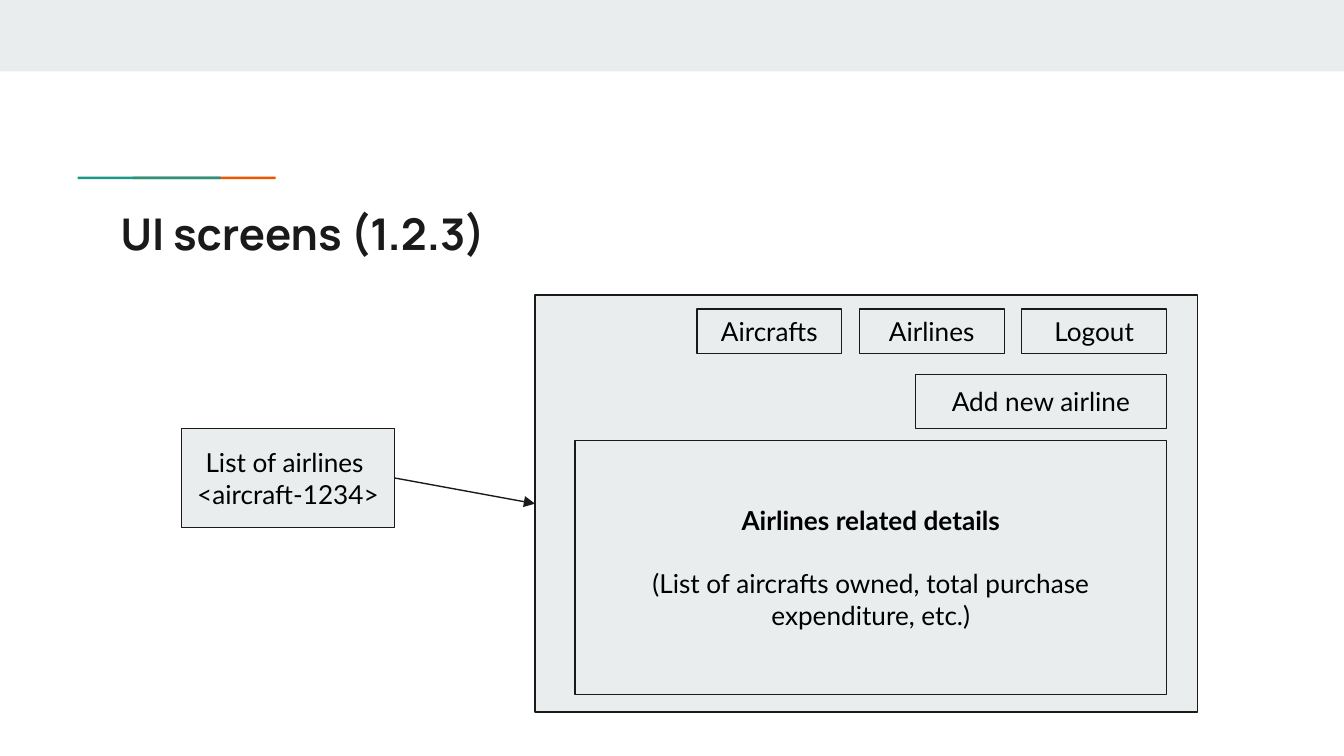
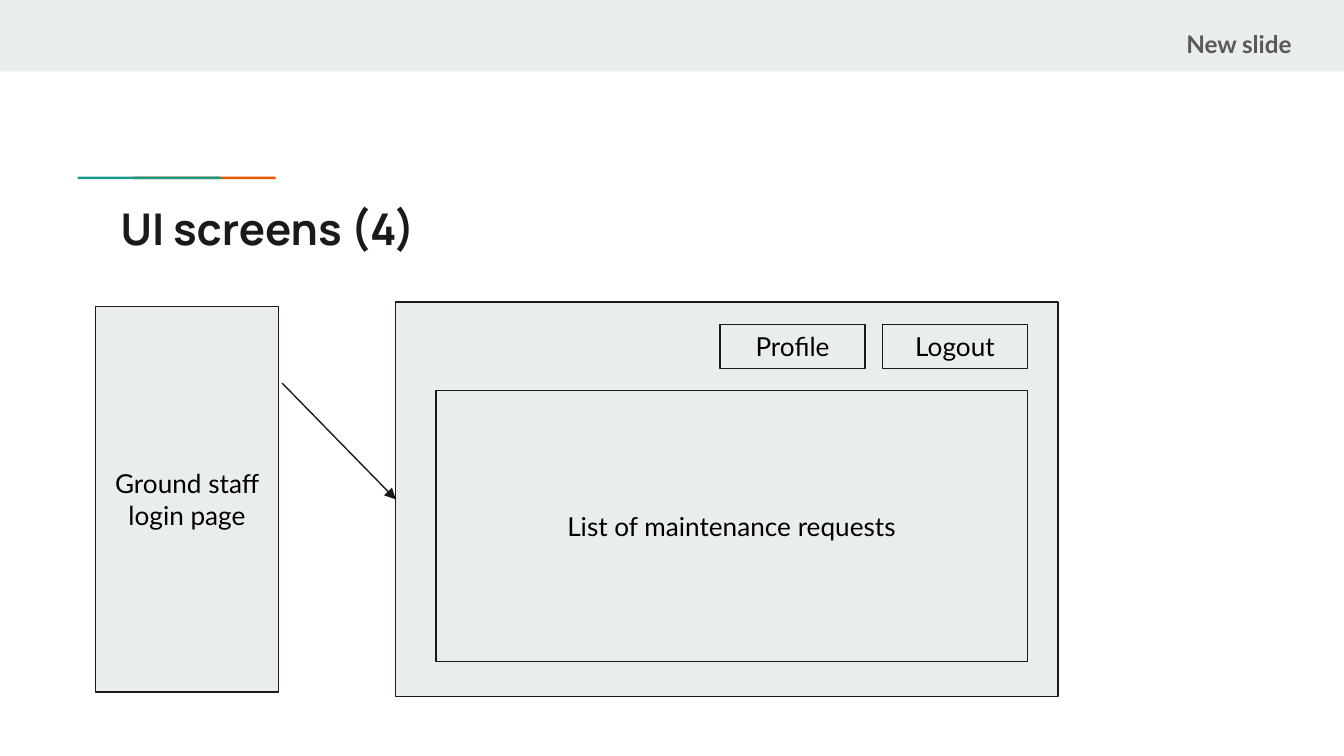
from lxml import etree
from pptx import Presentation
from pptx.dml.color import RGBColor
from pptx.enum.shapes import MSO_CONNECTOR, MSO_SHAPE
from pptx.enum.text import MSO_ANCHOR, MSO_AUTO_SIZE, PP_ALIGN
from pptx.oxml.ns import qn
from pptx.util import Cm, Pt

RECT = MSO_SHAPE.RECTANGLE
STRAIGHT = MSO_CONNECTOR.STRAIGHT
MIDDLE = MSO_ANCHOR.MIDDLE
TOP = MSO_ANCHOR.TOP
GROW = MSO_AUTO_SIZE.SHAPE_TO_FIT_TEXT
CENTER = PP_ALIGN.CENTER
LEFT = PP_ALIGN.LEFT

GREY = RGBColor(0xE9, 0xED, 0xEE)
INK = RGBColor(0x1A, 0x1A, 0x1A)
BLACK = RGBColor(0, 0, 0)
ORANGE = RGBColor(0xEB, 0x56, 0x00)
GREEN = RGBColor(0x1A, 0x99, 0x88)
DARK = RGBColor(0x59, 0x59, 0x59)

WIDTH, HEIGHT = 25.4, 14.29
INSET = 0.25
WIN_W = 12.52
PANEL_W = 11.18
PAD_LEFT, PAD_RIGHT = 0.76, 0.58
BTN_W, BTN_H, BTN_GAP = 2.74, 0.84, 0.33


class Deck:
    def __init__(self):
        self.show = Presentation()
        self.show.slide_width = Cm(WIDTH)
        self.show.slide_height = Cm(HEIGHT)
        self.slide = None

    def page(self, title, top):
        self.slide = self.show.slides.add_slide(self.show.slide_layouts[6])
        self.bar(0, 0, WIDTH, 1.35, GREY)
        self.bar(2.51, 3.34, 2.7, 0.05, ORANGE)
        self.bar(1.47, 3.34, 2.7, 0.05, GREEN)
        self.label(title, 2.03, top, 21.36, 1.5, 23.4, INK, "Manrope")

    def bar(self, left, top, width, height, color):
        shape = self.slide.shapes.add_shape(
            RECT, Cm(left), Cm(top), Cm(width), Cm(height))
        shape.shadow.inherit = False
        shape.fill.solid()
        shape.fill.fore_color.rgb = color
        shape.line.fill.background()
        return shape

    def put_text(self, shape, lines, size, color, font="Lato", bold=False,
                 align=LEFT, anchor=TOP):
        frame = shape.text_frame
        frame.word_wrap = True
        frame.vertical_anchor = anchor
        frame.margin_left = frame.margin_right = Cm(INSET)
        frame.margin_top = frame.margin_bottom = Cm(INSET)
        for i, line in enumerate(lines):
            para = frame.add_paragraph() if i else frame.paragraphs[0]
            para.text = line
            para.alignment = align
            para.font.name = font
            para.font.size = Pt(size)
            para.font.bold = bold
            para.font.color.rgb = color
        return frame

    def label(self, text, left, top, width, height, size, color, font="Lato"):
        shape = self.slide.shapes.add_textbox(
            Cm(left), Cm(top), Cm(width), Cm(height))
        return self.put_text(shape, [text], size, color, font, bold=True)

    def box(self, left, top, width, height, *lines):
        shape = self.bar(left, top, width, height, GREY)
        shape.line.color.rgb = INK
        shape.line.width = Pt(0.75)
        if lines:
            self.put_text(shape, lines, 14, BLACK, align=CENTER,
                          anchor=MIDDLE)
        return shape

    def window(self, left, top, height, names, row):
        frame = self.box(left, top, WIN_W, height)
        right = left + WIN_W - PAD_RIGHT
        step = BTN_W + BTN_GAP
        start = right - len(names) * step + BTN_GAP
        for i, name in enumerate(names):
            self.box(start + i * step, row, BTN_W, BTN_H, name)
        return frame, left + PAD_LEFT, right

    def arrow(self, target, source=None, start=(0, 0)):
        line = self.slide.shapes.add_connector(
            STRAIGHT, Cm(start[0]), Cm(start[1]), 0, 0)
        if source is not None:
            line.begin_connect(source, 3)
        line.end_connect(target, 1)
        line.line.color.rgb = INK
        line.line.width = Pt(0.75)
        props = line._element.spPr
        etree.SubElement(props.find(qn("a:ln")), qn("a:tailEnd"),
                         type="triangle")
        etree.SubElement(props, qn("a:effectLst"))


def airlines(deck):
    deck.page("UI screens (1.2.3)", 3.66)
    window, left, right = deck.window(
        10.11, 5.58, 7.88, ["Aircrafts", "Airlines", "Logout"], 5.84)
    panel = deck.box(left, 8.33, PANEL_W, 4.8, "Airlines related details",
                     "(List of aircrafts owned, total purchase "
                     "expenditure, etc.)")
    head = panel.text_frame.paragraphs[0]
    head.font.bold = True
    head.space_after = Pt(16.8)
    deck.box(right - 4.75, 7.08, 4.75, 1.02, "Add new airline")
    source = deck.box(3.43, 8.1, 4.03, 1.87,
                      "List of airlines ", "<aircraft-1234>")
    deck.arrow(window, source)


def staff(deck):
    deck.page("UI screens (4)", 3.56)
    deck.box(1.8, 5.79, 3.47, 7.29, "Ground staff login page")
    window, left, _ = deck.window(
        7.48, 5.71, 7.46, ["Profile", "Logout"], 6.13)
    deck.box(left, 7.38, PANEL_W, 5.12, "List of maintenance requests")
    deck.arrow(window, start=(5.33, 7.24))
    note = deck.label("New slide", 22.17, 0.3, 2.82, 1.07, 13, DARK)
    note.auto_size = GROW


def main():
    deck = Deck()
    airlines(deck)
    staff(deck)
    deck.show.save("out.pptx")


if __name__ == "__main__":
    main()
